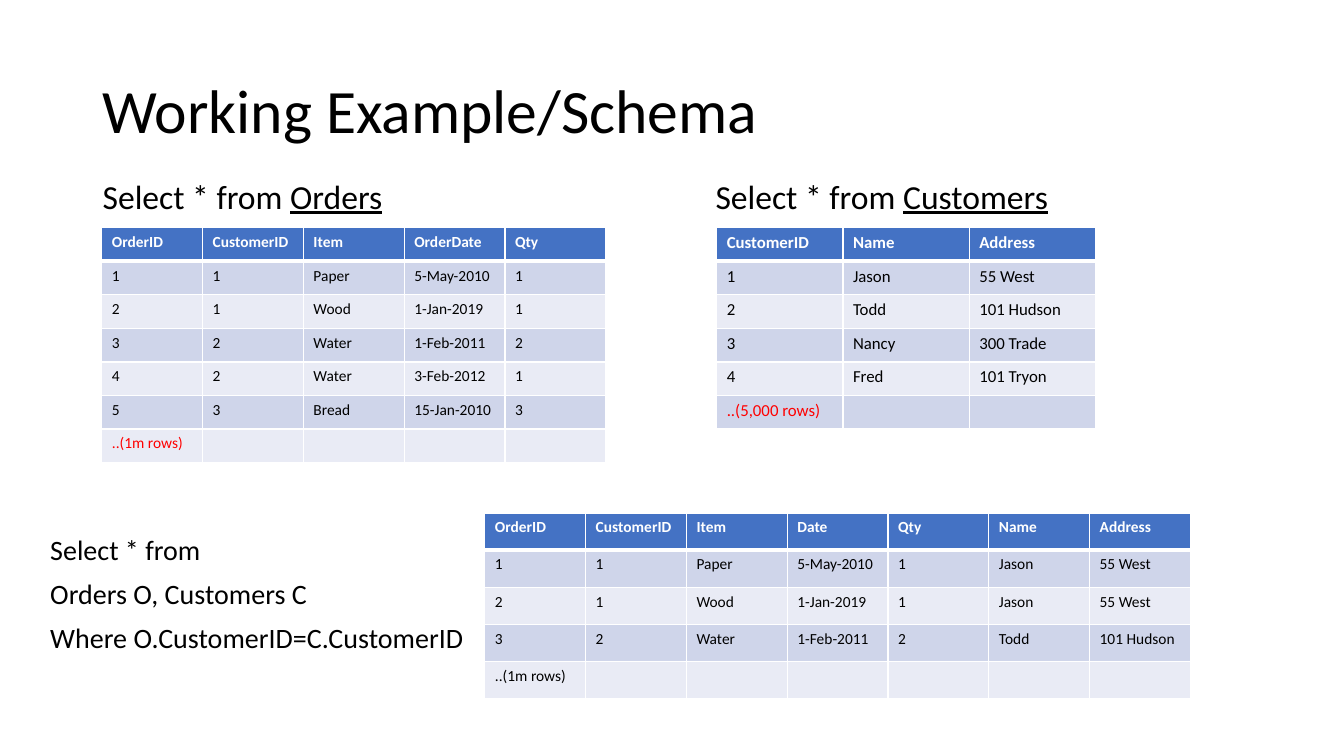
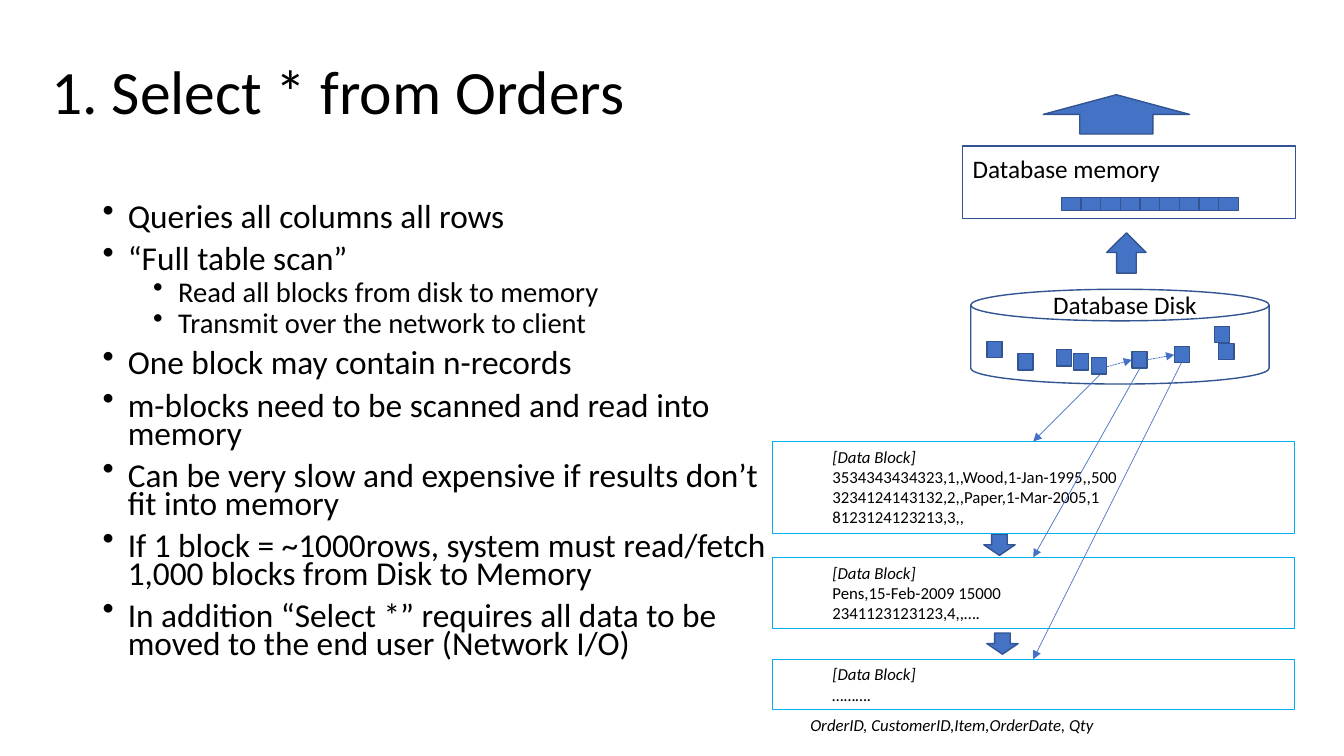
from dataclasses import dataclass
from typing import NamedTuple, Optional

from lxml import etree
from pptx import Presentation
from pptx import util as u
from pptx.dml.color import RGBColor
from pptx.enum import dml, shapes, text
from pptx.oxml import ns

COLUMNS, ROWS = 133.33, 75
CELL = u.Inches(13.33) / COLUMNS
FONT = "Calibri"
COLORS = {
    "text": "000000", "white": "FFFFFF", "note": "FF0000",
    "accent": "4472C4", "outline": "325491", "block": "00B0F0",
    "odd": "CFD5EA", "even": "E9EBF5",
}
Shape = shapes.MSO_SHAPE


class Box(NamedTuple):
    """Place and size in grid columns and rows."""
    left: float
    top: float
    width: float
    height: float


class Point(NamedTuple):
    """A place on the grid."""
    column: float
    row: float


@dataclass
class Line:
    """One paragraph; `underlined` is an underlined ending."""
    words: str
    size: float
    underlined: str = ""
    italic: bool = False
    spacing: Optional[float] = None
    before: float = 0
    margin: float = 0
    bullet: bool = False


@dataclass
class Grid:
    """A table whose first row is the header; bars part the cells."""
    corner: Point
    column_width: float
    row_height: float
    size: float
    rows: list[str]
    last_color: str = "text"


@dataclass
class Arrow:
    """A thin line with an arrowhead at its end."""
    start: Point
    end: Point
    dashed: bool = False


@dataclass
class Block:
    """A data block and the records in it."""
    top: float
    height: float
    records: list[str]
    italic: bool = False


def grid(cells: float) -> int:
    """Turn grid cells into a length."""
    return u.Emu(int(cells * CELL))


def color(name: str) -> RGBColor:
    """Look up a named colour."""
    return RGBColor.from_string(COLORS[name])


def style_font(paragraph, size: float, name: str = "text", bold: bool = False, italic: bool = False) -> None:
    """Set the font of a whole paragraph."""
    font = paragraph.font
    font.name, font.size, font.bold, font.italic = FONT, u.Pt(size), bold, italic
    font.color.rgb = color(name)


def add_text(slide, box: Box, lines: list[Line], wrap: bool = True, middle: bool = False, outline: str = "") -> None:
    """Add a text box with one paragraph per line."""
    shape = slide.shapes.add_textbox(*map(grid, box))
    frame = shape.text_frame
    frame.word_wrap = wrap
    frame.vertical_anchor = text.MSO_ANCHOR.MIDDLE if middle else text.MSO_ANCHOR.TOP
    if outline:
        shape.line.color.rgb = color(outline)
        shape.line.width = u.Pt(0.75)
    for index, line in enumerate(lines):
        paragraph = frame.add_paragraph() if index else frame.paragraphs[0]
        properties = paragraph._p.get_or_add_pPr()
        properties.set("marL", str(grid(line.margin)))
        if line.bullet:
            properties.set("indent", str(-grid(2.5)))
            etree.SubElement(properties, ns.qn("a:buChar"), char="•")
        if line.spacing:
            paragraph.line_spacing = line.spacing
        paragraph.space_before = u.Pt(line.before)
        style_font(paragraph, line.size, italic=line.italic)
        paragraph.add_run().text = line.words
        if line.underlined:
            ending = paragraph.add_run()
            ending.text = line.underlined
            ending.font.underline = True


def add_title(slide, box: Box, words: str) -> None:
    """Add a slide title."""
    add_text(slide, box, [Line(words, 44, spacing=0.9)], middle=True)


def add_query(slide, box: Box, size: float, lines: list[str], table: str = "") -> None:
    """Add a query, with the table it reads underlined."""
    add_text(slide, box, [Line(words, size, table, spacing=0.9, before=10) for words in lines])


def add_borders(cell, top: float, bottom: float) -> None:
    """Give a table cell white borders."""
    properties = cell._tc.get_or_add_tcPr()
    for index, (side, width) in enumerate((("L", 1), ("R", 1), ("T", top), ("B", bottom))):
        border = etree.Element(ns.qn(f"a:ln{side}"), w=str(u.Pt(width)))
        fill = etree.SubElement(border, ns.qn("a:solidFill"))
        etree.SubElement(fill, ns.qn("a:srgbClr"), val=COLORS["white"])
        properties.insert(index, border)


def add_grid(slide, spec: Grid) -> None:
    """Add a banded table with a header row."""
    rows = [row.split("|") for row in spec.rows]
    count, width = len(rows), len(rows[0])
    box = Box(*spec.corner, width * spec.column_width, count * spec.row_height)
    table = slide.shapes.add_table(count, width, *map(grid, box)).table
    for column in table.columns:
        column.width = grid(spec.column_width)
    for index, values in enumerate(rows):
        table.rows[index].height = grid(spec.row_height)
        header, last = index == 0, index == count - 1
        ink = "white" if header else spec.last_color if last else "text"
        band = "accent" if header else "odd" if index % 2 else "even"
        values += [""] * (width - len(values))
        for position, value in enumerate(values):
            cell = table.cell(index, position)
            cell.fill.solid()
            cell.fill.fore_color.rgb = color(band)
            add_borders(cell, 3 if index == 1 else 1, 3 if header else 1)
            paragraph = cell.text_frame.paragraphs[0]
            style_font(paragraph, spec.size, ink, bold=header)
            if value:
                paragraph.add_run().text = value
            else:
                etree.SubElement(paragraph._p, ns.qn("a:endParaRPr"), sz=str(spec.size * 100))


def add_figure(slide, kind: Shape, box: Box, filled: bool = True) -> None:
    """Add a preset shape with a dark blue outline."""
    shape = slide.shapes.add_shape(kind, *map(grid, box))
    shape.shadow.inherit = False
    if filled:
        shape.fill.solid()
        shape.fill.fore_color.rgb = color("accent")
    else:
        shape.fill.background()
    shape.line.color.rgb = color("outline")
    shape.line.width = u.Pt(1)


def add_arrow(slide, arrow: Arrow) -> None:
    """Draw a thin arrow between two points."""
    connector = slide.shapes.add_connector(
        shapes.MSO_CONNECTOR.STRAIGHT, *map(grid, (*arrow.start, *arrow.end)))
    connector.line.color.rgb = color("accent")
    connector.line.width = u.Pt(0.5)
    if arrow.dashed:
        connector.line.dash_style = dml.MSO_LINE.SQUARE_DOT
    properties = connector._element.spPr
    etree.SubElement(properties.find(ns.qn("a:ln")), ns.qn("a:tailEnd"), type="triangle")
    etree.SubElement(properties, ns.qn("a:effectLst"))


def add_block(slide, block: Block) -> None:
    """Add a data block listing its records."""
    lines = [Line("[Data Block]", 12, italic=True, margin=5)]
    lines += [Line(record, 12, italic=block.italic, margin=5) for record in block.records]
    add_text(slide, Box(76.6, block.top, 51.8, block.height), lines, outline="block")


def build_schema(slide) -> None:
    """Build the slide with the example tables and their join."""
    add_title(slide, Box(9.2, 4, 115, 14.5), "Working Example/Schema")
    add_query(slide, Box(9.2, 17.4, 42, 7.7), 24, ["Select * from "], "Orders")
    add_query(slide, Box(70, 17.4, 39.9, 6.6), 24, ["Select * from "], "Customers")
    add_grid(slide, Grid(Point(10.1, 22.6), 10, 3.33, 11, [
        "OrderID|CustomerID|Item|OrderDate|Qty",
        "1|1|Paper|5-May-2010|1",
        "2|1|Wood|1-Jan-2019|1",
        "3|2|Water|1-Feb-2011|2",
        "4|2|Water|3-Feb-2012|1",
        "5|3|Bread|15-Jan-2010|3",
        "..(1m rows)",
    ], "note"))
    add_grid(slide, Grid(Point(71.1, 22.6), 12.53, 3.33, 12, [
        "CustomerID|Name|Address",
        "1|Jason|55 West",
        "2|Todd|101 Hudson",
        "3|Nancy|300 Trade",
        "4|Fred|101 Tryon",
        "..(5,000 rows)",
    ], "note"))
    add_grid(slide, Grid(Point(48.1, 50.9), 10, 3.68, 11, [
        "OrderID|CustomerID|Item|Date|Qty|Name|Address",
        "1|1|Paper|5-May-2010|1|Jason|55 West",
        "2|1|Wood|1-Jan-2019|1|Jason|55 West",
        "3|2|Water|1-Feb-2011|2|Todd|101 Hudson",
        "..(1m rows)",
    ]))
    add_query(slide, Box(4, 52.7, 46.5, 20.6), 20, [
        "Select * from", "Orders O, Customers C", "Where O.CustomerID=C.CustomerID"])


def build_scan(slide) -> None:
    """Build the slide that follows a full scan from disk to client."""
    def point(words: str) -> Line:
        """Make a main bullet."""
        return Line(words, 23.8, spacing=0.7, before=10, margin=2.5, bullet=True)

    def detail(words: str) -> Line:
        """Make a second-level bullet."""
        return Line(words, 20.4, spacing=0.7, before=5, margin=7.5, bullet=True)

    add_title(slide, Box(4.1, 2.1, 79.3, 14.5), "1. Select * from Orders")
    add_text(slide, Box(9.2, 20, 70.3, 47.6), [
        point("Queries all columns all rows"),
        point("“Full table scan”"),
        detail("Read all blocks from disk to memory"),
        detail("Transmit over the network to client"),
        point("One block may contain n-records"),
        point("m-blocks need to be scanned and read into memory"),
        point("Can be very slow and expensive if results don’t fit into memory"),
        point("If 1 block = ~1000rows, system must read/fetch 1,000 blocks from Disk to Memory"),
        point("In addition “Select *” requires all data to be moved to the end user (Network I/O)"),
    ])

    add_figure(slide, Shape.RECTANGLE, Box(95.5, 14.5, 33, 7.2), filled=False)
    add_figure(slide, Shape.FLOWCHART_MAGNETIC_DISK, Box(96.3, 28.7, 29.6, 9.4), filled=False)
    add_text(slide, Box(95.5, 14.7, 20.8, 4), [Line("Database memory", 18)], wrap=False)
    add_text(slide, Box(103.5, 28.2, 16.4, 4), [Line("Database Disk", 18)], wrap=False)

    disk_blocks = [
        Point(97.9, 33.9), Point(101, 35.1), Point(104.8, 34.7), Point(106.5, 35.1),
        Point(108.3, 35.5), Point(112.3, 34.9), Point(116.5, 34.4), Point(120.5, 32.4),
        Point(120.9, 34.1),
    ]
    for corner in disk_blocks:
        add_figure(slide, Shape.RECTANGLE, Box(*corner, 1.5, 1.6))
    for index in range(len(disk_blocks)):
        add_figure(slide, Shape.RECTANGLE, Box(105.3 + 1.95 * index, 19.6, 1.95, 1.3))

    for kind, box in (
        (Shape.UP_ARROW, Box(103.5, 9.4, 14.5, 3.9)),
        (Shape.UP_ARROW, Box(109.8, 23.1, 3.9, 4)),
        (Shape.DOWN_ARROW, Box(97.6, 53, 3.1, 2.1)),
        (Shape.DOWN_ARROW, Box(97.9, 62.8, 3.1, 2.1)),
    ):
        add_figure(slide, kind, box)

    blocks = [
        Block(43.8, 9.1, ["3534343434323,1,,Wood,1-Jan-1995,,500",
                          "3234124143132,2,,Paper,1-Mar-2005,1", "8123124123213,3,,"]),
        Block(55.3, 7.1, ["Pens,15-Feb-2009 15000", "2341123123123,4,,…."]),
        Block(65.4, 5, ["………."], italic=True),
    ]
    starts = [Point(109.1, 37.2), Point(113.1, 36.5), Point(117.2, 36)]
    for block, start in zip(blocks, starts):
        add_block(slide, block)
        add_arrow(slide, Arrow(start, Point(102.5, block.top)))
    add_arrow(slide, Arrow(Point(109.8, 36.4), Point(112.3, 35.7), dashed=True))
    add_arrow(slide, Arrow(Point(113.8, 35.7), Point(116.5, 35.2), dashed=True))
    add_text(slide, Box(74.4, 70.4, 35.8, 3), [
        Line("OrderID, CustomerID,Item,OrderDate, Qty ", 12, italic=True, margin=5)], wrap=False)


presentation = Presentation()
presentation.slide_width, presentation.slide_height = grid(COLUMNS), grid(ROWS)
for build in (build_schema, build_scan):
    build(presentation.slides.add_slide(presentation.slide_layouts[6]))
presentation.save("out.pptx")
